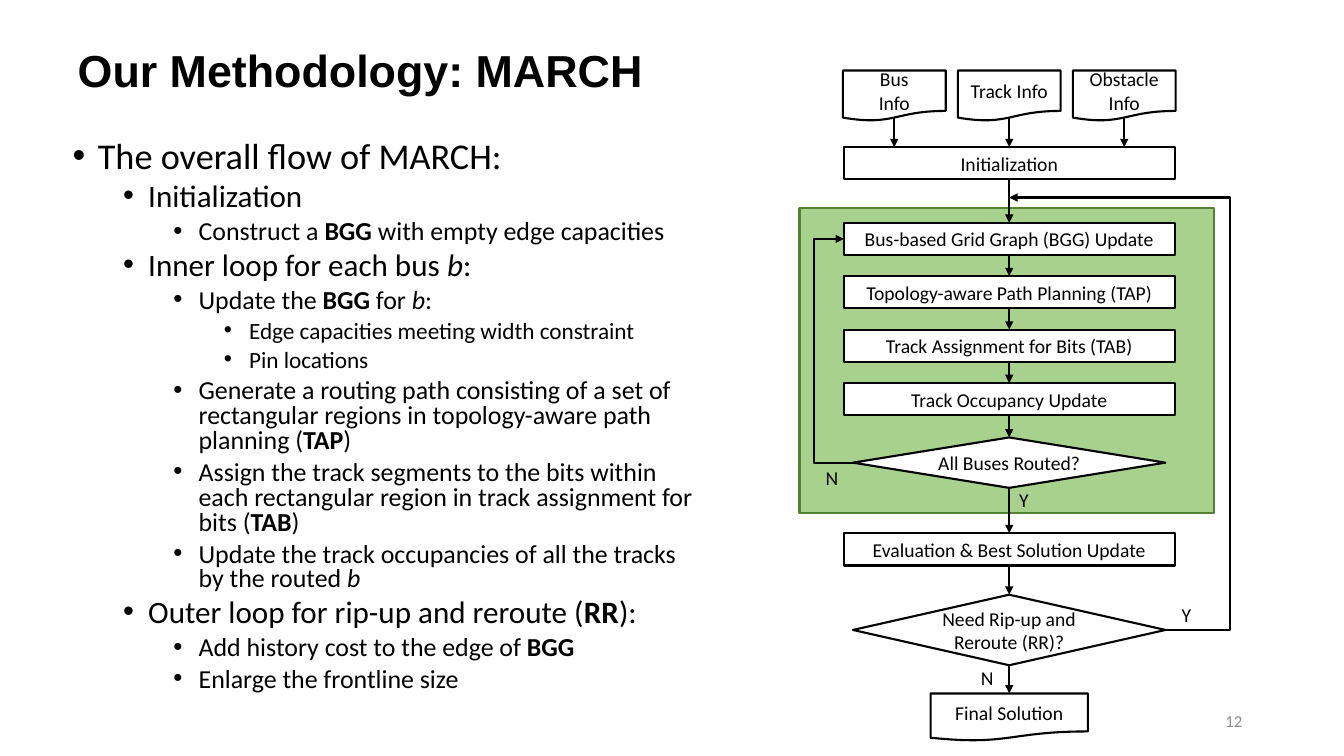
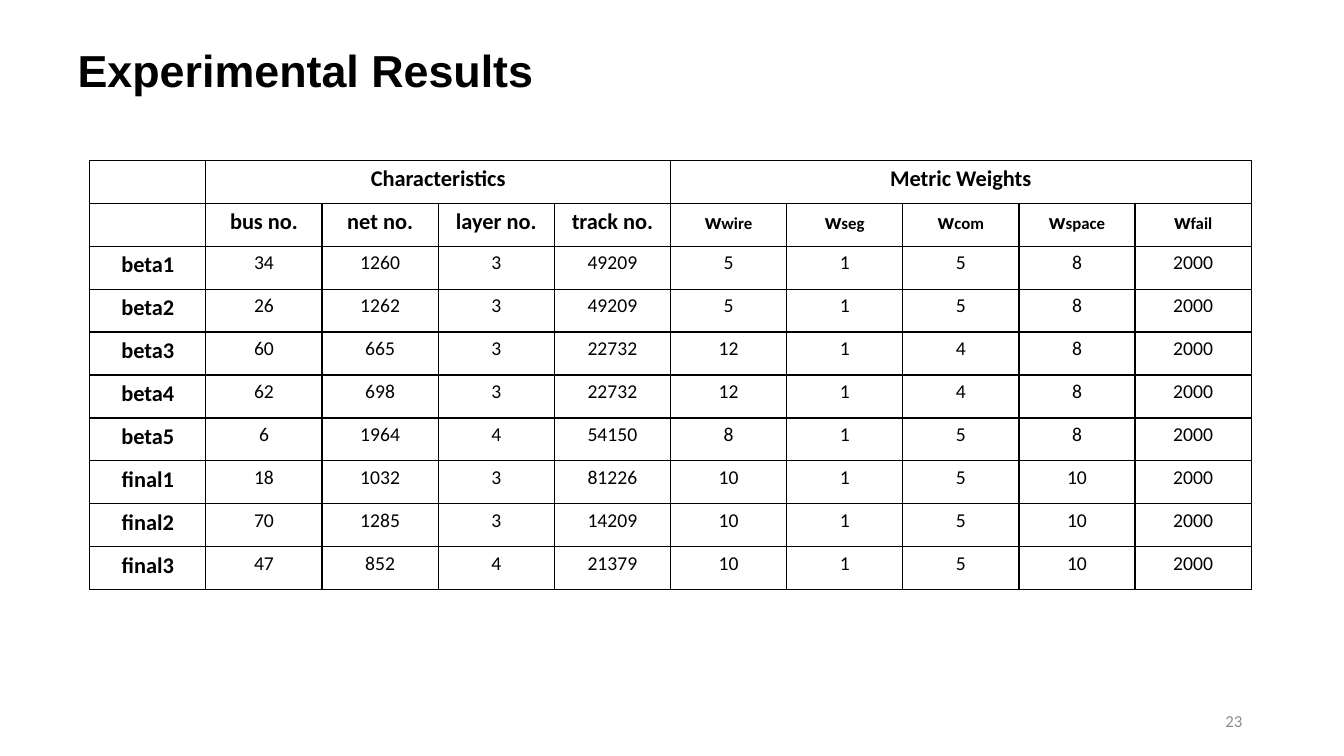
"""Build two slides: the routing flow of MARCH and the table of its test cases."""
from dataclasses import dataclass

from lxml import etree
from pptx import Presentation
from pptx.dml.color import RGBColor
from pptx.enum.shapes import MSO_CONNECTOR, MSO_SHAPE
from pptx.enum.text import MSO_ANCHOR, MSO_AUTO_SIZE, PP_ALIGN
from pptx.oxml.ns import qn
from pptx.util import Emu, Pt

STRAIGHT, ELBOW = MSO_CONNECTOR.STRAIGHT, MSO_CONNECTOR.ELBOW
PROCESS, DECISION = MSO_SHAPE.RECTANGLE, MSO_SHAPE.DIAMOND
DOCUMENT = MSO_SHAPE.FLOWCHART_DOCUMENT
LEFT, CENTER, RIGHT = PP_ALIGN.LEFT, PP_ALIGN.CENTER, PP_ALIGN.RIGHT
TOP, MIDDLE = MSO_ANCHOR.TOP, MSO_ANCHOR.MIDDLE
NO_AUTOFIT = MSO_AUTO_SIZE.NONE
TITLE_AND_BODY, TITLE_ONLY = 1, 5
SITE_TOP, SITE_BOTTOM = 0, 2
EMU_PER_PX = 9144


@dataclass(frozen=True)
class Theme:
    """Colours, fonts and type sizes of the deck."""
    ink: str = "000000"
    paper: str = "FFFFFF"
    muted: str = "8C8C8C"
    loop_fill: str = "A9D18E"
    loop_line: str = "548235"
    title_font: str = "Arial"
    text_font: str = "Calibri"
    title: float = 32
    levels: tuple = (25.9, 22.2, 18.5, 16.6)
    diagram: float = 14
    page_number: float = 12
    table_head: float = 16
    table_value: float = 14
    table_suffix: float = 12
    outline: float = 1.5
    border: float = 1


THEME = Theme()
SLIDE_SIZE = (1333, 750)
PAGE_NUMBER_BOX = (942, 695, 300, 40)

METHOD = {"title": "Our Methodology: MARCH", "box": (67, 7, 747, 125), "number": "12"}
RESULTS = {"title": "Experimental Results", "box": (67, 7, 966, 125), "number": "23"}

OUTLINE_BOX = (62, 136, 642, 599)
BGG = ("BGG", "bold")
BUS = ("b", "italic")
OUTLINE = [
    (0, ["The overall flow of MARCH:"]),
    (1, ["Initialization"]),
    (2, ["Construct a ", BGG, " with empty edge capacities"]),
    (1, ["Inner loop for each bus ", BUS, ":"]),
    (2, ["Update the ", BGG, " for ", BUS, ":"]),
    (3, ["Edge capacities meeting width constraint"]),
    (3, ["Pin locations"]),
    (2, ["Generate a routing path consisting of a set of rectangular regions "
         "in topology-aware path planning (", ("TAP", "bold"), ")"]),
    (2, ["Assign the track segments to the bits within each rectangular region "
         "in track assignment for bits (", ("TAB", "bold"), ")"]),
    (2, ["Update the track occupancies of all the tracks by the routed ", BUS]),
    (1, ["Outer loop for rip-up and reroute (", ("RR", "bold"), "):"]),
    (2, ["Add history cost to the edge of ", BGG]),
    (2, ["Enlarge the frontline size"]),
]

FLOW_CENTER = 1001
LOOP_PANEL = (793, 206, 411, 303)
PROCESS_SIZE = (328, 32)
STEP_TOP, STEP_PITCH = 221, 53
STEPS = [
    "Bus-based Grid Graph (BGG) Update",
    "Topology-aware Path Planning (TAP)",
    "Track Assignment for Bits (TAB)",
    "Track Occupancy Update",
]
FLOW = [
    ("Initialization", PROCESS, 146, PROCESS_SIZE),
    *[(text, PROCESS, STEP_TOP + index * STEP_PITCH, PROCESS_SIZE)
      for index, text in enumerate(STEPS)],
    ("All Buses Routed?", DECISION, 434, (310, 50)),
    ("Evaluation & Best Solution Update", PROCESS, 529, PROCESS_SIZE),
    ("Need Rip-up and Reroute (RR)?", DECISION, 590, (310, 70)),
    ("Final Solution", DOCUMENT, 688, (156, 47)),
]
INPUTS = ["Bus\nInfo", "Track Info", "Obstacle Info"]
INPUT_TOP, INPUT_SIZE, INPUT_PITCH = 70, (102, 50), 114
INPUT_ARROW = (117, 146)
LOOP_BACKS = [
    ((1156, 625), 1220, (1001, 196)),
    ((846, 459), 807, (837, 237)),
]
BRANCH_LABELS = [("Y", 1162, 593), ("N", 963, 656), ("Y", 1001, 479), ("N", 809, 457)]
LABEL_SIZE = (38, 34)

TABLE_BOX = (89, 159, 1152, 426)
TABLE_GROUPS = [("Characteristics", 1, 4), ("Metric Weights", 5, 9)]
CHARACTERISTICS = ["bus no.", "net no.", "layer no.", "track no."]
WEIGHTS = ["wire", "seg", "com", "space", "fail"]
CASES = [
    ("beta1", 34, 1260, 3, 49209, 5, 1, 5, 8, 2000),
    ("beta2", 26, 1262, 3, 49209, 5, 1, 5, 8, 2000),
    ("beta3", 60, 665, 3, 22732, 12, 1, 4, 8, 2000),
    ("beta4", 62, 698, 3, 22732, 12, 1, 4, 8, 2000),
    ("beta5", 6, 1964, 4, 54150, 8, 1, 5, 8, 2000),
    ("final1", 18, 1032, 3, 81226, 10, 1, 5, 10, 2000),
    ("final2", 70, 1285, 3, 14209, 10, 1, 5, 10, 2000),
    ("final3", 47, 852, 4, 21379, 10, 1, 5, 10, 2000),
]


def px(*lengths):
    """Turn px lengths into EMU."""
    return [Emu(length * EMU_PER_PX) for length in lengths]


def assign(target, values):
    """Set each attribute named in a dict of format values."""
    for name, value in values.items():
        setattr(target, name, value)


def add_run(paragraph, text, size, color=THEME.ink, font=THEME.text_font, **emphasis):
    """Append a formatted run."""
    run = paragraph.add_run()
    run.text = text
    assign(run.font, {"size": Pt(size), "name": font, **emphasis})
    run.font.color.rgb = RGBColor.from_string(color)


def write(shape, text, size, align=LEFT, anchor=TOP, margin=None, **run_format):
    """Write one paragraph per line of text into a shape."""
    frame = shape.text_frame
    assign(frame, {"word_wrap": True, "auto_size": NO_AUTOFIT, "vertical_anchor": anchor})
    if margin is not None:
        assign(frame, {"margin_left": margin, "margin_right": margin})
    for index, line in enumerate(text.split("\n")):
        paragraph = frame.add_paragraph() if index else frame.paragraphs[0]
        paragraph.alignment = align
        add_run(paragraph, line, size, **run_format)


def place(shape, box):
    """Move a placeholder to a px box."""
    assign(shape, dict(zip(("left", "top", "width", "height"), px(*box))))


def add_slide(presentation, layout, content):
    """Add a slide with its title and page number."""
    slide = presentation.slides.add_slide(presentation.slide_layouts[layout])
    title = slide.shapes.title
    place(title, content["box"])
    write(title, content["title"], THEME.title, anchor=MIDDLE,
          font=THEME.title_font, bold=True)
    number = slide.shapes.add_textbox(*px(*PAGE_NUMBER_BOX))
    write(number, content["number"], THEME.page_number, RIGHT, MIDDLE, color=THEME.muted)
    return slide


def fill_outline(body):
    """Write the bulleted outline into the body placeholder."""
    place(body, OUTLINE_BOX)
    frame = body.text_frame
    assign(frame, {"word_wrap": True, "auto_size": NO_AUTOFIT})
    for index, (level, parts) in enumerate(OUTLINE):
        paragraph = frame.add_paragraph() if index else frame.paragraphs[0]
        assign(paragraph, {"level": level, "line_spacing": 0.8,
                           "space_before": Pt(5 if level else 10)})
        indent, hanging = px(25 + 50 * level, -25)
        properties = paragraph._p.get_or_add_pPr()
        properties.set("marL", str(indent))
        properties.set("indent", str(hanging))
        etree.SubElement(properties, qn("a:buFont")).set("typeface", "Arial")
        etree.SubElement(properties, qn("a:buChar")).set("char", "•")
        for part in parts:
            text, *marks = (part,) if isinstance(part, str) else part
            add_run(paragraph, text, THEME.levels[level], **dict.fromkeys(marks, True))


def add_block(slide, kind, box, fill=THEME.paper, line=THEME.ink):
    """Add an outlined preset shape."""
    shape = slide.shapes.add_shape(kind, *px(*box))
    shape.shadow.inherit = False
    shape.fill.solid()
    shape.fill.fore_color.rgb = RGBColor.from_string(fill)
    shape.line.color.rgb = RGBColor.from_string(line)
    shape.line.width = Pt(THEME.outline)
    return shape


def add_node(slide, text, kind, center, top, size):
    """Add a labelled flow node centred on a column."""
    width, height = size
    node = add_block(slide, kind, (center - width // 2, top, width, height))
    write(node, text, THEME.diagram, CENTER, MIDDLE, None if kind == DOCUMENT else 0)
    return node


def add_arrow(slide, start, end, kind=STRAIGHT):
    """Add a connector with an arrowhead at its end."""
    arrow = slide.shapes.add_connector(kind, *px(*start, *end))
    arrow.line.color.rgb = RGBColor.from_string(THEME.ink)
    arrow.line.width = Pt(THEME.outline)
    properties = arrow.element.spPr
    etree.SubElement(properties.find(qn("a:ln")), qn("a:tailEnd")).set("type", "triangle")
    etree.SubElement(properties, qn("a:effectLst"))
    return arrow


def add_loop_back(slide, start, turn, end):
    """Add an elbow arrow whose upright runs at x = turn."""
    arrow = add_arrow(slide, start, end, ELBOW)
    geometry = arrow.element.spPr.find(qn("a:prstGeom"))
    adjustments = geometry.find(qn("a:avLst"))
    if adjustments is None:
        adjustments = etree.SubElement(geometry, qn("a:avLst"))
    ratio = round(100000 * (turn - start[0]) / (end[0] - start[0]))
    guide = etree.SubElement(adjustments, qn("a:gd"))
    guide.set("name", "adj1")
    guide.set("fmla", f"val {ratio}")


def add_flow(slide):
    """Draw the flow chart."""
    add_block(slide, PROCESS, LOOP_PANEL, THEME.loop_fill, THEME.loop_line)
    nodes = [add_node(slide, text, kind, FLOW_CENTER, top, size)
             for text, kind, top, size in FLOW]
    for before, after in zip(nodes, nodes[1:]):
        arrow = add_arrow(slide, (FLOW_CENTER, 0), (FLOW_CENTER, 0))
        arrow.begin_connect(before, SITE_BOTTOM)
        arrow.end_connect(after, SITE_TOP)
    for index, text in enumerate(INPUTS):
        center = FLOW_CENTER + (index - 1) * INPUT_PITCH
        add_node(slide, text, DOCUMENT, center, INPUT_TOP, INPUT_SIZE)
        arrow = add_arrow(slide, *[(center, y) for y in INPUT_ARROW])
        if center == FLOW_CENTER:
            arrow.end_connect(nodes[0], SITE_TOP)
    for start, turn, end in LOOP_BACKS:
        add_loop_back(slide, start, turn, end)
    for text, left, top in BRANCH_LABELS:
        label = slide.shapes.add_textbox(*px(left, top, *LABEL_SIZE))
        write(label, text, THEME.diagram)


def format_cell(cell):
    """Give a cell thin borders and no fill."""
    properties = cell._tc.get_or_add_tcPr()
    for side in ("lnL", "lnR", "lnT", "lnB"):
        border = etree.SubElement(properties, qn(f"a:{side}"))
        border.set("w", str(Pt(THEME.border)))
        fill = etree.SubElement(border, qn("a:solidFill"))
        etree.SubElement(fill, qn("a:srgbClr")).set("val", THEME.ink)
    cell.fill.background()


def add_results(slide):
    """Draw the table of test cases."""
    row_count, column_count = len(CASES) + 2, len(CASES[0])
    left, top, width, height = px(*TABLE_BOX)
    table = slide.shapes.add_table(row_count, column_count, left, top, width, height).table
    assign(table, {"first_row": False, "horz_banding": False})
    for cell in table.iter_cells():
        format_cell(cell)
        cell.text_frame.paragraphs[0].alignment = CENTER

    def put(row, column, text, size=THEME.table_head, bold=True):
        paragraph = table.cell(row, column).text_frame.paragraphs[0]
        add_run(paragraph, str(text), size, bold=bold)

    for text, first, last in TABLE_GROUPS:
        table.cell(0, first).merge(table.cell(0, last))
        put(0, first, text)
    for column, text in enumerate(CHARACTERISTICS, 1):
        put(1, column, text)
    for column, suffix in enumerate(WEIGHTS, 1 + len(CHARACTERISTICS)):
        put(1, column, "w")
        put(1, column, suffix, THEME.table_suffix)
    for row, (name, *values) in enumerate(CASES, 2):
        put(row, 0, name)
        for column, value in enumerate(values, 1):
            put(row, column, value, THEME.table_value, False)


def main():
    """Build and save the deck."""
    presentation = Presentation()
    assign(presentation, dict(zip(("slide_width", "slide_height"), px(*SLIDE_SIZE))))
    method = add_slide(presentation, TITLE_AND_BODY, METHOD)
    fill_outline(method.placeholders[1])
    add_flow(method)
    add_results(add_slide(presentation, TITLE_ONLY, RESULTS))
    presentation.save("out.pptx")


if __name__ == "__main__":
    main()
